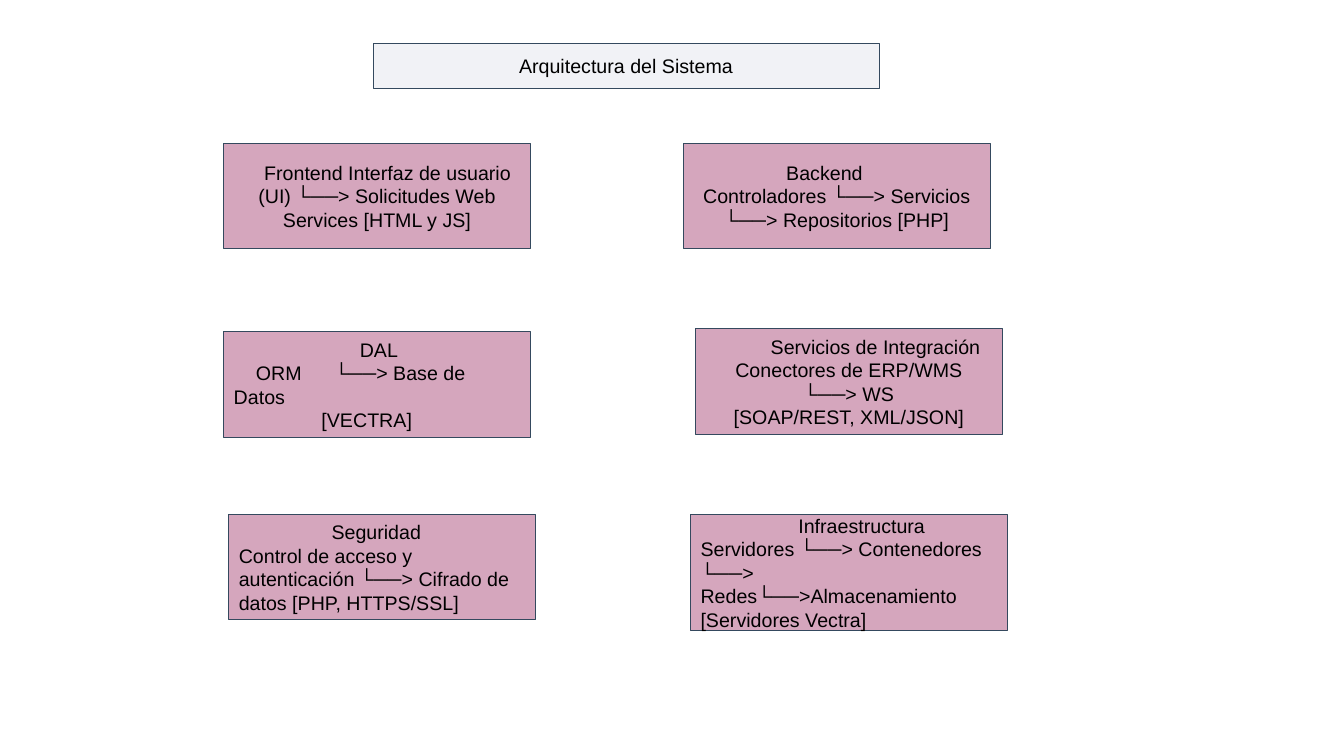
"""Build the system architecture slide: a title above six component boxes."""
from dataclasses import dataclass

from lxml import etree
from pptx import Presentation
from pptx.dml.color import RGBColor
from pptx.enum.shapes import MSO_SHAPE
from pptx.enum.text import MSO_ANCHOR, MSO_AUTO_SIZE, PP_ALIGN
from pptx.oxml.ns import qn
from pptx.util import Pt

RECT = MSO_SHAPE.RECTANGLE
MIDDLE = MSO_ANCHOR.MIDDLE
NO_FIT = MSO_AUTO_SIZE.NONE
LEFT, CENTER = PP_ALIGN.LEFT, PP_ALIGN.CENTER
PX = 9144
SLIDE_W, SLIDE_H = 1333, 750
INSET = 10
TAB_STOP = 86


@dataclass(frozen=True)
class Theme:
    font: str = "Arial"
    size: int = 14
    line_width: float = 0.75
    text: RGBColor = RGBColor.from_string("000000")
    line: RGBColor = RGBColor.from_string("34495E")
    title_fill: RGBColor = RGBColor.from_string("F1F2F6")
    box_fill: RGBColor = RGBColor.from_string("D5A6BD")


THEME = Theme()

TITLE = ((370, 43, 502, 45), [("Arquitectura del Sistema", CENTER, 0)])

COMPONENTS = [
    ((222, 142, 304, 105), [
        ("Frontend Interfaz de usuario (UI) └──> Solicitudes Web Services [HTML y JS]", CENTER, 21),
    ]),
    ((678, 142, 304, 105), [
        ("Backend", LEFT, 92),
        ("Controladores └──> Servicios └──> Repositorios [PHP]", CENTER, 0),
    ]),
    ((222, 329, 304, 105), [
        ("DAL", LEFT, 125),
        ("ORM\t└──> Base de Datos", LEFT, 22),
        ("[VECTRA]", LEFT, 87),
    ]),
    ((690, 326, 304, 105), [
        ("Servicios de Integración", CENTER, 53),
        ("Conectores de ERP/WMS", CENTER, 0),
        ("└──> WS", CENTER, 0),
        ("[SOAP/REST, XML/JSON]", CENTER, 0),
    ]),
    ((227, 510, 304, 105), [
        ("Seguridad", LEFT, 92),
        ("Control de acceso y autenticación └──> Cifrado de datos [PHP, HTTPS/SSL]", LEFT, 0),
    ]),
    ((685, 510, 314, 116), [
        ("Infraestructura", LEFT, 97),
        ("Servidores └──> Contenedores", LEFT, 0),
        ("└──>", LEFT, 0),
        ("Redes└──>Almacenamiento", LEFT, 0),
        ("[Servidores Vectra]", LEFT, 0),
    ]),
]


def write_paragraph(p, text, align, indent):
    p.alignment = align
    pPr = p._p.get_or_add_pPr()
    pPr.set("marL", "0")
    pPr.set("indent", str(indent * PX))
    if "\t" in text:
        tabs = etree.SubElement(pPr, qn("a:tabLst"))
        etree.SubElement(tabs, qn("a:tab"), pos=str(TAB_STOP * PX), algn="l")
    r = p.add_run()
    r.text = text
    r.font.name = THEME.font
    r.font.size = Pt(THEME.size)
    r.font.color.rgb = THEME.text


def format_box(sp, bounds, paragraphs, fill):
    sp.left, sp.top, sp.width, sp.height = (v * PX for v in bounds)
    sp.fill.solid()
    sp.fill.fore_color.rgb = fill
    sp.line.color.rgb = THEME.line
    sp.line.width = Pt(THEME.line_width)
    tf = sp.text_frame
    tf.word_wrap = True
    tf.auto_size = NO_FIT
    tf.vertical_anchor = MIDDLE
    tf.margin_left = tf.margin_right = tf.margin_top = tf.margin_bottom = INSET * PX
    for i, paragraph in enumerate(paragraphs):
        p = tf.add_paragraph() if i else tf.paragraphs[0]
        write_paragraph(p, *paragraph)


def main():
    prs = Presentation()
    prs.slide_width, prs.slide_height = SLIDE_W * PX, SLIDE_H * PX
    s = prs.slides.add_slide(prs.slide_layouts[5])
    format_box(s.shapes.title, *TITLE, THEME.title_fill)
    for bounds, paragraphs in COMPONENTS:
        sp = s.shapes.add_shape(RECT, *(v * PX for v in bounds))
        sp.shadow.inherit = False
        format_box(sp, bounds, paragraphs, THEME.box_fill)
    prs.save("out.pptx")


if __name__ == "__main__":
    main()
